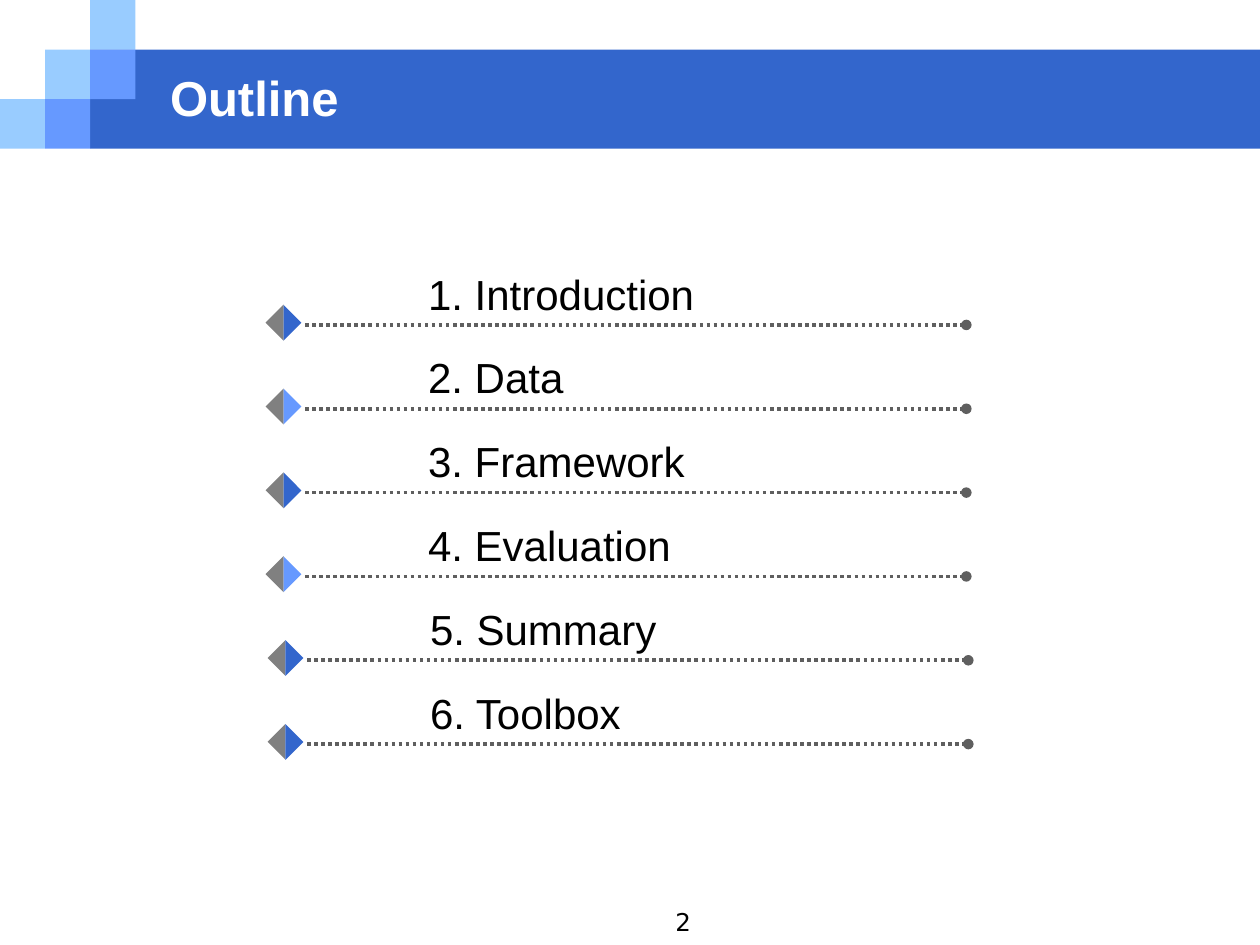
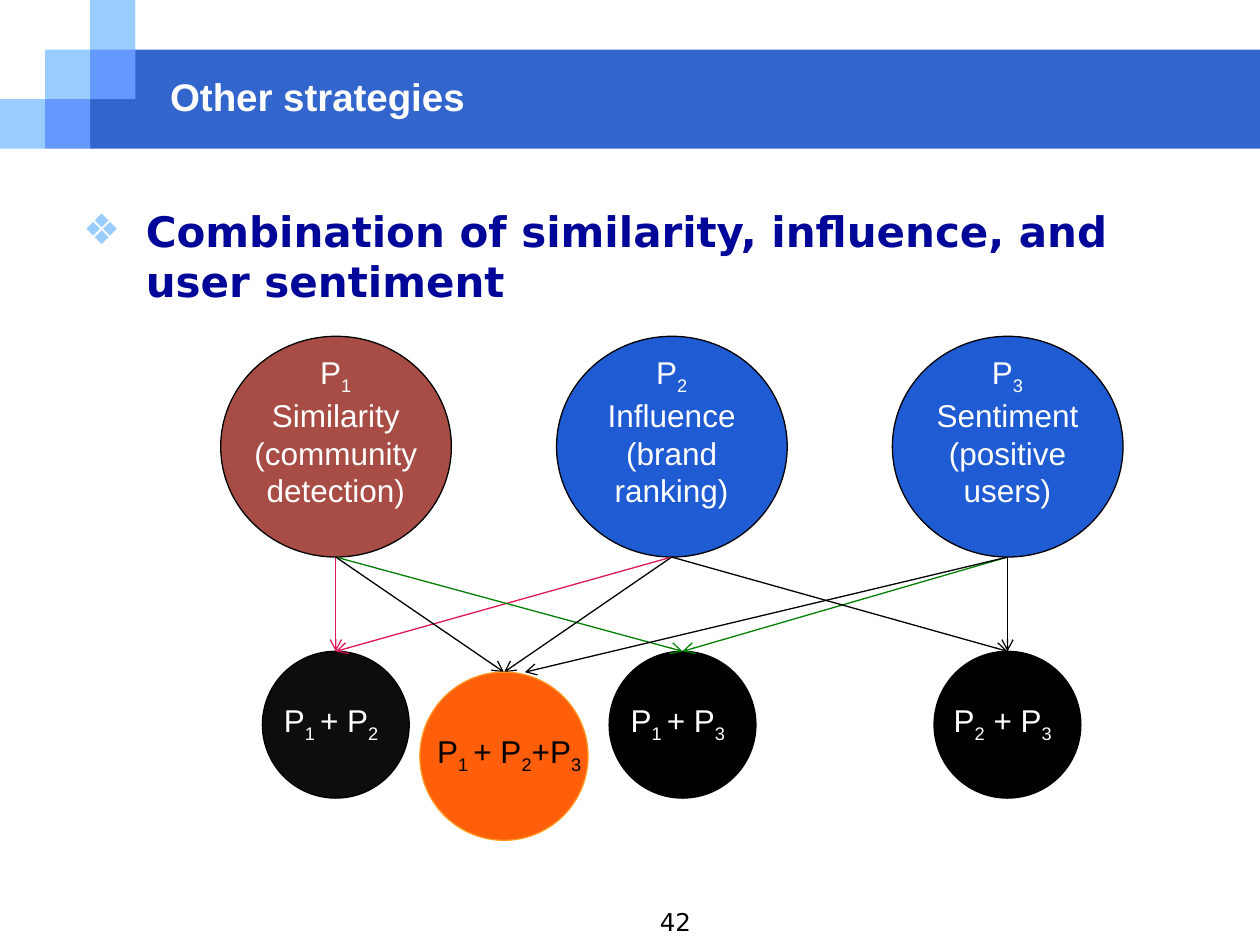
from pptx import Presentation
from pptx.dml.color import RGBColor
from pptx.enum.dml import MSO_LINE
from pptx.enum.shapes import MSO_CONNECTOR, MSO_SHAPE
from pptx.enum.text import MSO_ANCHOR, PP_ALIGN
from pptx.oxml.ns import qn
from pptx.util import Cm, Pt
from lxml.etree import SubElement

BLUE = RGBColor(0x33, 0x66, 0xCC)
MID_BLUE = RGBColor(0x66, 0x99, 0xFF)
LIGHT_BLUE = RGBColor(0x99, 0xCC, 0xFF)
NAVY = RGBColor(0x00, 0x07, 0x98)
STRATEGY_BLUE = RGBColor(0x1F, 0x5B, 0xD3)
BRICK = RGBColor(0xA8, 0x4D, 0x46)
ORANGE = RGBColor(0xFF, 0x5E, 0x0A)
AMBER = RGBColor(0xFF, 0x97, 0x1D)
PINK = RGBColor(0xDF, 0x16, 0x56)
GREEN = RGBColor(0x00, 0x80, 0x00)
DARK_GRAY = RGBColor(0x5F, 0x5F, 0x5F)
GRAY = RGBColor(0x80, 0x80, 0x80)
NEAR_BLACK = RGBColor(0x0D, 0x0D, 0x0D)
BLACK = RGBColor(0, 0, 0)
WHITE = RGBColor(255, 255, 255)


def apply(target, values):
    """Set every attribute of the target named in values."""
    for name, value in values.items():
        setattr(target, name, value)


class Deck:
    """Holds the shared style and the slide being drawn."""

    TITLE = {"name": "Arial", "size": Pt(28), "bold": True}
    ENTRY = {"name": "Arial", "size": Pt(24)}
    LABEL = {"name": "Arial", "size": Pt(18)}
    HEADING = {"name": "DejaVu Sans", "size": Pt(24), "bold": True}
    NUMBER = {"name": "DejaVu Sans", "size": Pt(14)}
    STEP_X, STEP_Y = 0.91, 1.0

    def __init__(self):
        """Start an empty 4:3 presentation."""
        self.presentation = Presentation()
        apply(self.presentation, {"slide_width": Cm(25.4), "slide_height": Cm(19.05)})
        self.slide = None

    def start(self, title, number, width, size=28):
        """Add a slide with its band, corner squares, title and number."""
        self.slide = self.presentation.slides.add_slide(self.presentation.slide_layouts[6])
        self.shape(MSO_SHAPE.RECTANGLE, 1.82, 1, 23.58, 2, BLUE)
        for column, row in ((0, 2), (1, 1), (2, 0), (2, 1), (1, 2)):
            self.shape(MSO_SHAPE.RECTANGLE, column * self.STEP_X, row * self.STEP_Y,
                       self.STEP_X, self.STEP_Y,
                       LIGHT_BLUE if column + row == 2 else MID_BLUE)
        self.text([title], 3.18, 1.27, width, 1.35, {**self.TITLE, "size": Pt(size)},
                  WHITE, anchor=MSO_ANCHOR.MIDDLE)
        self.text([number], 8.26, 18.16, 5.92, 0.89, self.NUMBER, align=PP_ALIGN.RIGHT)

    def shape(self, kind, left, top, width, height, fill, outline=None, rotation=0):
        """Add a filled preset shape, outlined if a colour is given."""
        shape = self.slide.shapes.add_shape(kind, Cm(left), Cm(top), Cm(width), Cm(height))
        shape.shadow.inherit = False
        shape.rotation = rotation
        shape.fill.solid()
        shape.fill.fore_color.rgb = fill
        if outline is None:
            shape.line.fill.background()
        else:
            shape.line.color.rgb = outline
            shape.line.width = Pt(0.75)

    def text(self, paragraphs, left, top, width, height, style, color=BLACK,
             align=PP_ALIGN.LEFT, anchor=MSO_ANCHOR.TOP):
        """Add a text box; underscores switch subscript on and off."""
        frame = self.slide.shapes.add_textbox(
            Cm(left), Cm(top), Cm(width), Cm(height)).text_frame
        apply(frame, {"word_wrap": True, "vertical_anchor": anchor})
        for index, content in enumerate(paragraphs):
            paragraph = frame.add_paragraph() if index else frame.paragraphs[0]
            paragraph.alignment = align
            for position, part in enumerate(content.split("_")):
                run = paragraph.add_run()
                run.text = part
                apply(run.font, style)
                run.font.color.rgb = color
                if position % 2:
                    run._r.get_or_add_rPr().set("baseline", "-25000")
        return frame

    def bullet(self, content, left, top, width, height):
        """Add a heading with a hanging diamond bullet."""
        frame = self.text([content], left, top, width, height, self.HEADING, NAVY)
        properties = frame.paragraphs[0]._p.get_or_add_pPr()
        properties.set("marL", str(Cm(1.42)))
        properties.set("indent", str(-Cm(1.27)))
        color = SubElement(properties, qn("a:buClr"))
        SubElement(color, qn("a:srgbClr"), val=str(LIGHT_BLUE))
        SubElement(properties, qn("a:buFont"), typeface="DejaVu Sans")
        SubElement(properties, qn("a:buChar"), char="❖")

    def line(self, start, end, color, ending, **values):
        """Add a straight line with the given ending."""
        connector = self.slide.shapes.add_connector(
            MSO_CONNECTOR.STRAIGHT, *(Cm(value) for value in start + end))
        connector.line.color.rgb = color
        apply(connector.line, {"width": Pt(0.75), **values})
        SubElement(connector.line._get_or_add_ln(), qn("a:tailEnd"), type=ending)
        SubElement(connector._element.spPr, qn("a:effectLst"))

    def entry(self, content, left, line_y, accent):
        """Add an outline entry: dotted rule, two-part diamond and text."""
        self.line((left + 0.69, line_y), (left + 14.02, line_y), DARK_GRAY, "oval",
                  width=Pt(2), dash_style=MSO_LINE.ROUND_DOT)
        for rotation, fill in ((45, GRAY), (225, accent)):
            self.shape(MSO_SHAPE.RIGHT_TRIANGLE, left, line_y - 0.3, 0.51, 0.51,
                       fill, rotation=rotation)
        self.text([content], left + 2.92, line_y - 1.27, 7, 1.3, self.ENTRY)

    def strategy(self, paragraphs, center, top, fill):
        """Add a large circle with the name of a strategy."""
        self.shape(MSO_SHAPE.OVAL, center - 2.32, top, 4.65, 4.45, fill, BLACK)
        self.text(paragraphs, center - 2.12, top + 0.21, 4.24, 3.33, self.LABEL,
                  WHITE, PP_ALIGN.CENTER)

    def combination(self, content, center, top, size, fill, outline=BLACK,
                    color=WHITE, shift=-0.1):
        """Add a circle that names combined strategies."""
        self.shape(MSO_SHAPE.OVAL, center - size / 2, top, size, size, fill, outline)
        self.text([content], center - 1.8 + shift, top + size / 2 - 0.61, 3.61, 1.02,
                  self.LABEL, color, PP_ALIGN.CENTER)


def outline(deck):
    """Draw the outline of the talk."""
    deck.start("Outline", "2", 20.52)
    entries = (("1. Introduction", 5.46, BLUE), ("2. Data", 5.46, MID_BLUE),
               ("3. Framework", 5.46, BLUE), ("4. Evaluation", 5.46, MID_BLUE),
               ("5. Summary", 5.5, BLUE), ("6. Toolbox", 5.5, BLUE))
    for index, (content, left, accent) in enumerate(entries):
        deck.entry(content, left, 6.55 + 1.69 * index, accent)


def other_strategies(deck):
    """Draw the three strategies and their combinations."""
    deck.start("Other strategies", "42", 22.22, 22)
    centers = [6.77 * place for place in (1, 2, 3)]
    strategy_top, pair_top, triple_top, triple_center = 6.78, 13.13, 13.55, 10.16
    strategy_bottom = strategy_top + 4.45
    strategies = (("Similarity", "(community detection)", BRICK),
                  ("Influence", "(brand ranking)", STRATEGY_BLUE),
                  ("Sentiment", "(positive users)", STRATEGY_BLUE))
    for index, (name, basis, fill) in enumerate(strategies):
        deck.strategy([f"P_{index + 1}", name, basis], centers[index], strategy_top, fill)
    pairs = (("P_1 _+ P_2", centers[0], NEAR_BLACK, PINK, (0, 1)),
             ("P_1 _+ P_3", 13.76, BLACK, GREEN, (0, 2)),
             ("P_2_ + P_3", centers[2], BLACK, BLACK, (1, 2)))
    for content, center, fill, arrow, sources in pairs:
        deck.combination(content, center, pair_top, 2.96, fill)
        for source in sources:
            deck.line((centers[source], strategy_bottom), (center, pair_top), arrow, "arrow")
    deck.bullet("Combination of similarity, influence, and user sentiment",
                1.27, 4.01, 22.86, 2.75)
    for center, offset in zip(centers, (0, 0, 0.42)):
        deck.line((center, strategy_bottom), (triple_center + offset, triple_top),
                  BLACK, "arrow")
    deck.combination("P_1 _+ P_2_+P_3", triple_center, triple_top, 3.39,
                     ORANGE, AMBER, BLACK, 0.1)


def main():
    """Build and save the presentation."""
    deck = Deck()
    outline(deck)
    other_strategies(deck)
    deck.presentation.save("out.pptx")


if __name__ == "__main__":
    main()
